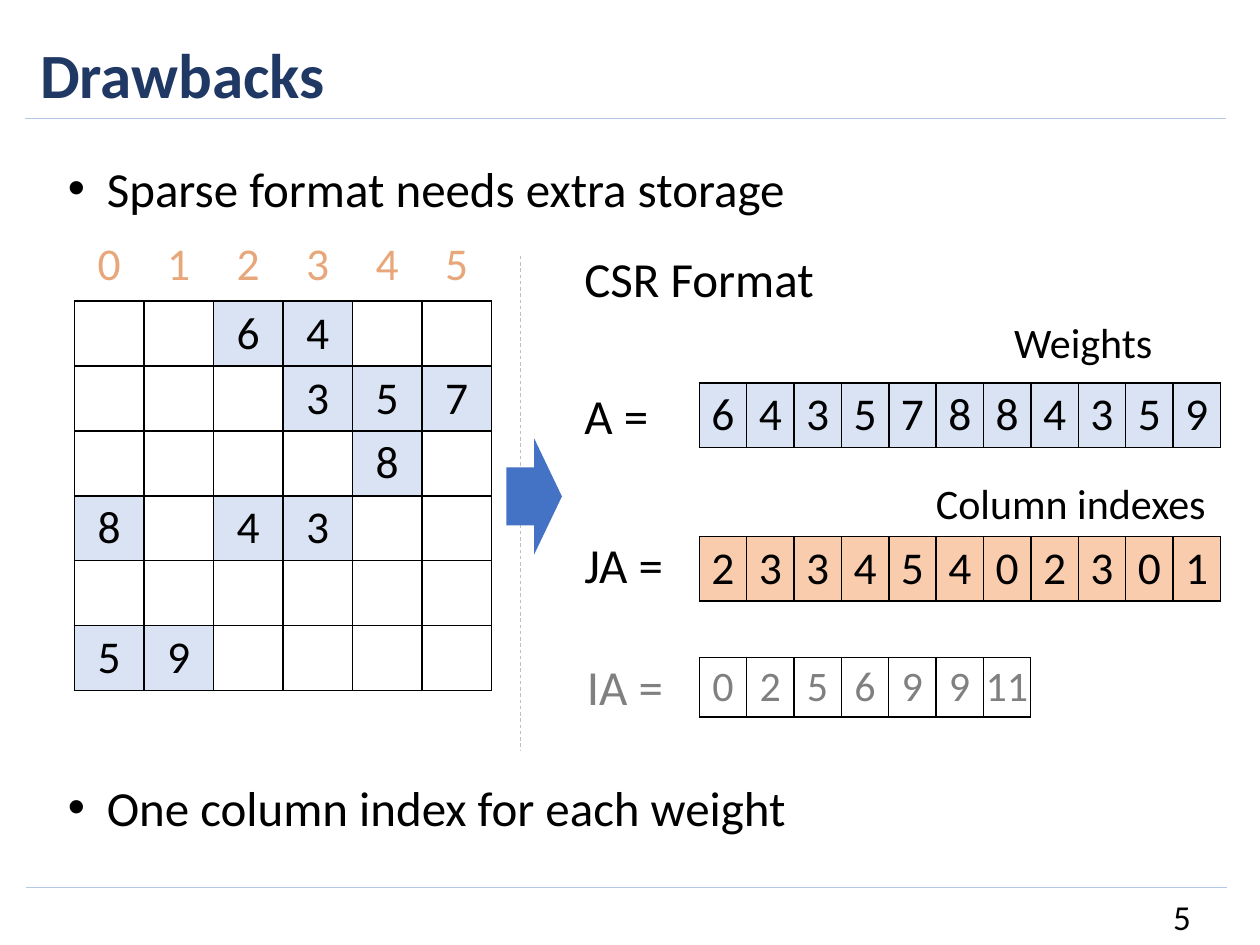
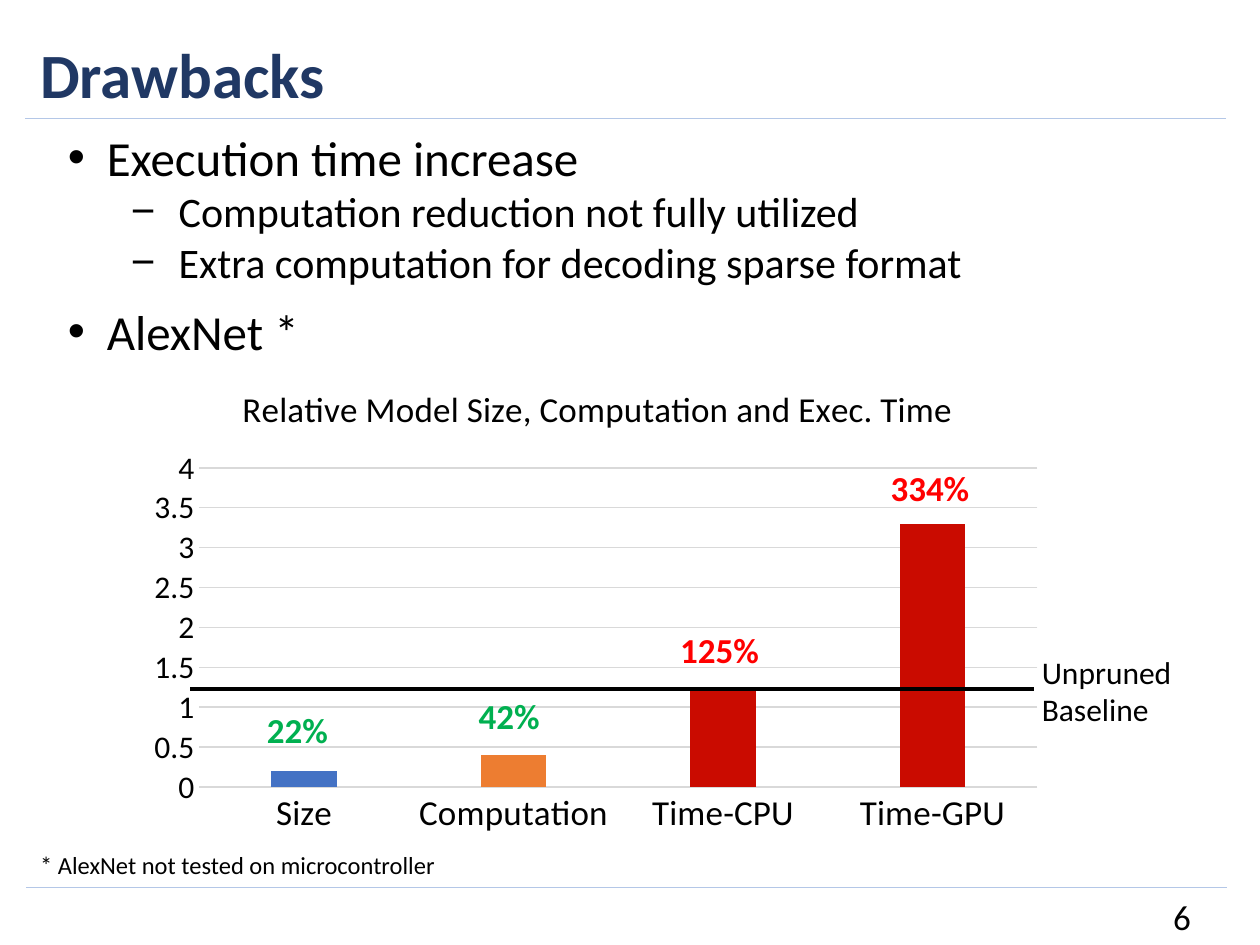
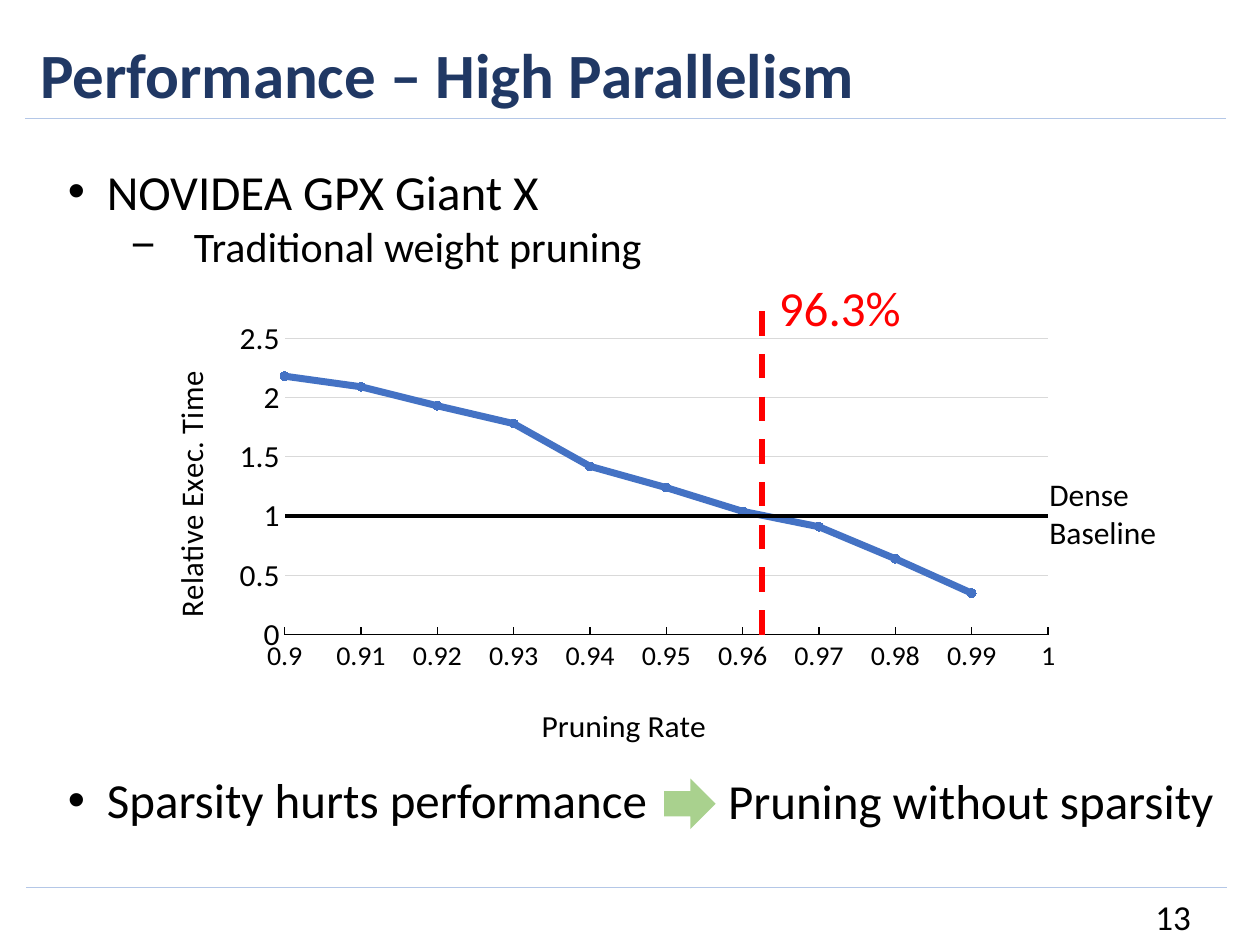
from dataclasses import dataclass
from typing import Optional

from lxml import etree
from pptx import Presentation
from pptx.chart.data import CategoryChartData, XyChartData
from pptx.dml.color import RGBColor
from pptx.enum.chart import XL_CHART_TYPE, XL_MARKER_STYLE, XL_TICK_MARK
from pptx.enum.dml import MSO_LINE
from pptx.enum.shapes import MSO_CONNECTOR, MSO_SHAPE
from pptx.enum.text import MSO_ANCHOR, MSO_AUTO_SIZE, PP_ALIGN
from pptx.oxml.ns import qn
from pptx.util import Inches, Pt

COLUMNS, SCATTER = XL_CHART_TYPE.COLUMN_CLUSTERED, XL_CHART_TYPE.XY_SCATTER_LINES_NO_MARKERS
CIRCLE, NO_MARKER = XL_MARKER_STYLE.CIRCLE, XL_MARKER_STYLE.NONE
TICK_NONE, TICK_INSIDE = XL_TICK_MARK.NONE, XL_TICK_MARK.INSIDE
DASH = MSO_LINE.DASH
STRAIGHT, RIGHT_ARROW = MSO_CONNECTOR.STRAIGHT, MSO_SHAPE.RIGHT_ARROW
MIDDLE = MSO_ANCHOR.MIDDLE
FIT_TEXT, FIXED_SIZE = MSO_AUTO_SIZE.SHAPE_TO_FIT_TEXT, MSO_AUTO_SIZE.NONE
LEFT, CENTER, RIGHT = PP_ALIGN.LEFT, PP_ALIGN.CENTER, PP_ALIGN.RIGHT

FONT = "Calibri"
BLACK = RGBColor(0x00, 0x00, 0x00)
WHITE = RGBColor(0xFF, 0xFF, 0xFF)
NAVY = RGBColor(0x20, 0x38, 0x64)
RULE_BLUE = RGBColor(0xB4, 0xC7, 0xE7)
BLUE = RGBColor(0x44, 0x72, 0xC4)
WEIGHT_BLUE = RGBColor(0xDA, 0xE3, 0xF3)
INDEX_ORANGE = RGBColor(0xF8, 0xCC, 0xAD)
HEADER_ORANGE = RGBColor(0xE7, 0xA7, 0x7A)
ORANGE = RGBColor(0xED, 0x7D, 0x31)
DARK_RED = RGBColor(0xCA, 0x0B, 0x00)
RED = RGBColor(0xFF, 0x00, 0x00)
GREEN = RGBColor(0x00, 0xB0, 0x50)
LIGHT_GREEN = RGBColor(0xA9, 0xD1, 0x8E)
GRAY = RGBColor(0x80, 0x80, 0x80)
DIVIDER_GRAY = RGBColor(0xBF, 0xBF, 0xBF)
GRID_GRAY = RGBColor(0xD9, 0xD9, 0xD9)


@dataclass
class Label:
    text: str
    left: float
    top: float
    width: float
    height: float = 0.57
    size: float = 28
    color: RGBColor = BLACK
    bold: bool = False
    align: PP_ALIGN = LEFT


@dataclass
class Bullets:
    left: float
    top: float
    width: float
    height: float
    main: str
    details: tuple[str, ...] = ()
    detail_indent: float = 0.88
    detail_hanging: float = 0.38


@dataclass
class Rule:
    start: tuple[float, float]
    end: tuple[float, float]
    color: RGBColor
    width: float = 0.5
    dashed: bool = False


@dataclass
class Grid:
    left: float
    top: float
    width: float
    row_height: float
    rows: list[list[str]]
    fill: Optional[RGBColor]
    size: float = 26
    color: RGBColor = BLACK
    bordered: bool = True


def style_font(font, size: float, color: RGBColor = BLACK, bold: bool = False) -> None:
    font.name, font.size, font.bold = FONT, Pt(size), bold
    font.color.rgb = color


def style_paragraph(paragraph, size: float, color: RGBColor = BLACK, bold: bool = False) -> None:
    for run in paragraph.runs:
        style_font(run.font, size, color, bold)


def add_box(slide, left: float, top: float, width: float, height: float):
    box = slide.shapes.add_textbox(Inches(left), Inches(top), Inches(width), Inches(height))
    box.text_frame.word_wrap = False
    box.text_frame.auto_size = FIT_TEXT
    return box.text_frame


def add_label(slide, label: Label):
    text_frame = add_box(slide, label.left, label.top, label.width, label.height)
    text_frame.text = label.text
    for paragraph in text_frame.paragraphs:
        paragraph.alignment = label.align
        style_paragraph(paragraph, label.size, label.color, label.bold)
    return text_frame


def set_bullet(paragraph, character: str, indent: float, hanging: float) -> None:
    properties = paragraph._p.get_or_add_pPr()
    properties.set("marL", str(Inches(indent)))
    properties.set("indent", str(-Inches(hanging)))
    etree.SubElement(properties, qn("a:buFont")).set("typeface", "Arial")
    etree.SubElement(properties, qn("a:buChar")).set("char", character)


def add_bullets(slide, bullets: Bullets) -> None:
    text_frame = add_box(slide, bullets.left, bullets.top, bullets.width, bullets.height)
    text_frame.text = "\n".join((bullets.main, *bullets.details))
    main, *details = text_frame.paragraphs
    set_bullet(main, "•", 0.31, 0.31)
    style_paragraph(main, 28)
    for paragraph in details:
        paragraph.level = 1
        set_bullet(paragraph, "−", bullets.detail_indent, bullets.detail_hanging)
        style_paragraph(paragraph, 24)


def add_rule(slide, rule: Rule) -> None:
    points = [Inches(value) for value in (*rule.start, *rule.end)]
    connector = slide.shapes.add_connector(STRAIGHT, *points)
    connector.line.color.rgb = rule.color
    connector.line.width = Pt(rule.width)
    if rule.dashed:
        connector.line.dash_style = DASH
    etree.SubElement(connector._element.spPr, qn("a:effectLst"))


def add_arrow(slide, left: float, top: float, width: float, height: float, color: RGBColor) -> None:
    arrow = slide.shapes.add_shape(
        RIGHT_ARROW, Inches(left), Inches(top), Inches(width), Inches(height))
    arrow.shadow.inherit = False
    arrow.fill.solid()
    arrow.fill.fore_color.rgb = color
    arrow.line.fill.background()


def add_borders(cell) -> None:
    properties = cell._tc.get_or_add_tcPr()
    for side in ("a:lnL", "a:lnR", "a:lnT", "a:lnB"):
        border = etree.SubElement(properties, qn(side), w=str(Pt(1)))
        solid = etree.SubElement(border, qn("a:solidFill"))
        etree.SubElement(solid, qn("a:srgbClr"), val=str(BLACK))


def add_grid(slide, grid: Grid) -> None:
    row_count, column_count = len(grid.rows), len(grid.rows[0])
    table = slide.shapes.add_table(
        row_count, column_count, Inches(grid.left), Inches(grid.top),
        Inches(grid.width), Inches(grid.row_height * row_count)).table
    table.first_row = table.horz_banding = False
    for column in table.columns:
        column.width = Inches(grid.width / column_count)
    for row, values in zip(table.rows, grid.rows):
        row.height = Inches(grid.row_height)
        for cell, value in zip(row.cells, values):
            if grid.bordered:
                add_borders(cell)
            if grid.fill is None:
                cell.fill.background()
            else:
                cell.fill.solid()
                cell.fill.fore_color.rgb = grid.fill if value.strip() else WHITE
            cell.margin_left = cell.margin_right = cell.margin_top = cell.margin_bottom = 0
            cell.vertical_anchor = MIDDLE
            cell.text = value.strip()
            paragraph = cell.text_frame.paragraphs[0]
            paragraph.alignment = CENTER
            style_paragraph(paragraph, grid.size, grid.color)


def set_layout(parent, index: int, **fractions: float) -> None:
    """Place a chart part by fractions of the chart's size."""
    for old_layout in parent.findall(qn("c:layout")):
        parent.remove(old_layout)
    layout = etree.Element(qn("c:layout"))
    parent.insert(index, layout)
    manual = etree.SubElement(layout, qn("c:manualLayout"))
    if "w" in fractions:
        etree.SubElement(manual, qn("c:layoutTarget"), val="inner")
    for mode in ("xMode", "yMode"):
        etree.SubElement(manual, qn(f"c:{mode}"), val="edge")
    for name, value in fractions.items():
        etree.SubElement(manual, qn(f"c:{name}"), val=str(value))


def set_chart_title(title, text: str, size: float, x: float, y: float, rotated: bool = False) -> None:
    title.text_frame.text = text
    style_paragraph(title.text_frame.paragraphs[0], size)
    if rotated:
        body = title._element.find(".//" + qn("a:bodyPr"))
        body.set("rot", "-5400000")
        body.set("vert", "horz")
    set_layout(title._element, 1, x=x, y=y)


def add_chart(slide, kind: XL_CHART_TYPE, data, left: float, top: float, width: float,
              height: float, value_maximum: float, plot_area: dict[str, float],
              category_size: float, category_line: RGBColor):
    chart = slide.shapes.add_chart(
        kind, Inches(left), Inches(top), Inches(width), Inches(height), data).chart
    style_font(chart.font, 18)
    chart.has_legend = chart.has_title = False
    chart.plots[0].vary_by_categories = False
    set_layout(chart._chartSpace.find(".//" + qn("c:plotArea")), 0, **plot_area)

    value_axis, category_axis = chart.value_axis, chart.category_axis
    value_axis.minimum_scale, value_axis.maximum_scale = 0, value_maximum
    value_axis.major_unit = 0.5
    value_axis.has_major_gridlines = True
    value_axis.major_gridlines.format.line.color.rgb = GRID_GRAY
    value_axis.major_gridlines.format.line.width = Pt(0.75)
    value_axis.format.line.fill.background()
    category_axis.has_major_gridlines = False
    category_axis.format.line.color.rgb = category_line
    category_axis.format.line.width = Pt(0.75)
    for axis, size in ((value_axis, 18), (category_axis, category_size)):
        axis.major_tick_mark = axis.minor_tick_mark = TICK_NONE
        axis.tick_labels.number_format = "General"
        axis.tick_labels.number_format_is_linked = False
        style_font(axis.tick_labels.font, size)
    return chart


def add_base_slide(presentation, title: str, title_width: float, number: int):
    slide = presentation.slides.add_slide(presentation.slide_layouts[6])
    add_rule(slide, Rule((0.21, 7.04), (9.74, 7.04), RULE_BLUE))
    add_rule(slide, Rule((0.2, 0.94), (9.73, 0.94), RULE_BLUE))
    add_label(slide, Label(title, 0.22, 0.23, title_width, 0.71, 36, NAVY, True))
    number_frame = add_label(slide, Label(str(number), 7.3, 7.07, 2.25, 0.4, 20, align=RIGHT))
    number_frame.word_wrap = True
    number_frame.auto_size = FIXED_SIZE
    number_frame.vertical_anchor = MIDDLE
    return slide


def build_storage_slide(presentation) -> None:
    slide = add_base_slide(presentation, "Drawbacks", 2.48, 5)
    add_rule(slide, Rule((4.13, 2.03), (4.13, 5.95), DIVIDER_GRAY, dashed=True))
    add_bullets(slide, Bullets(0.44, 1.21, 6.04, 0.57, "Sparse format needs extra storage"))
    add_bullets(slide, Bullets(0.44, 6.12, 5.97, 0.57, "One column index for each weight"))
    add_arrow(slide, 4.02, 3.48, 0.44, 0.92, BLUE)

    # Sparse matrix with its column numbers, then the three CSR arrays
    matrix = ["  64  ", "   357", "    8 ", "8 43  ", "      ", "59    "]
    grids = [
        Grid(0.59, 1.85, 3.31, 0.51, [list("012345")], WHITE, color=HEADER_ORANGE, bordered=False),
        Grid(0.59, 2.39, 3.31, 0.515, [list(row) for row in matrix], WEIGHT_BLUE),
        Grid(5.55, 3.04, 4.14, 0.51, [list("64357884359")], WEIGHT_BLUE),
        Grid(5.55, 4.26, 4.14, 0.51, [list("23345402301")], INDEX_ORANGE),
        Grid(5.55, 5.22, 2.63, 0.47, [["0", "2", "5", "6", "9", "9", "11"]], None, 24, GRAY),
    ]
    for grid in grids:
        add_grid(slide, grid)

    labels = [
        Label("CSR Format", 4.54, 1.92, 2.04),
        Label("A =", 4.54, 3.01, 0.72),
        Label("JA =", 4.54, 4.19, 0.83),
        Label("IA =", 4.56, 5.16, 0.81, color=GRAY),
        Label("Weights", 7.95, 2.46, 1.31, 0.5, 24),
        Label("Column indexes", 7.33, 3.74, 2.36, 0.5, 24),
    ]
    for label in labels:
        add_label(slide, label)


def build_execution_slide(presentation) -> None:
    slide = add_base_slide(presentation, "Drawbacks", 2.48, 6)

    # Column chart with one colour per measure
    data = CategoryChartData()
    data.categories = ["Size", "Computation", "Time-CPU", "Time-GPU"]
    data.add_series("Series 1", [0.2, 0.4, 1.2, 3.3])
    chart = add_chart(slide, COLUMNS, data, 1.07, 2.92, 7.31, 3.78, 4,
                      {"x": 0.07, "y": 0.21, "w": 0.91, "h": 0.67}, 20, GRID_GRAY)
    chart.has_title = True
    set_chart_title(chart.chart_title, "Relative Model Size, Computation and Exec. Time",
                    20, 0.11, 0.02)
    plot = chart.plots[0]
    plot.gap_width, plot.overlap = 219, -27
    for index, color in enumerate((BLUE, ORANGE, DARK_RED, DARK_RED)):
        fill = plot.series[0].points[index].format.fill
        fill.solid()
        fill.fore_color.rgb = color

    add_bullets(slide, Bullets(0.44, 0.96, 7.36, 1.38, "Execution time increase", (
        "Computation reduction not fully utilized",
        "Extra computation for decoding sparse format")))
    add_bullets(slide, Bullets(0.44, 2.34, 2.06, 0.57, "AlexNet *"))
    add_rule(slide, Rule((1.51, 5.47), (8.21, 5.47), BLACK, 2))

    labels = [
        Label("* AlexNet not tested on microcontroller", 0.22, 6.7, 3.37, 0.34, 14),
        Label("Unpruned\nBaseline", 8.17, 5.13, 1.24, 0.71, 18),
        Label("22%", 2.02, 5.57, 0.69, 0.44, 20, GREEN, True),
        Label("42%", 3.7, 5.46, 0.69, 0.44, 20, GREEN, True),
        Label("125%", 5.3, 4.94, 0.83, 0.44, 20, RED, True),
        Label("334%", 6.97, 3.65, 0.83, 0.44, 20, RED, True),
    ]
    for label in labels:
        add_label(slide, label)


def build_parallelism_slide(presentation) -> None:
    slide = add_base_slide(presentation, "Performance – High Parallelism", 6.73, 13)
    add_bullets(slide, Bullets(0.44, 1.23, 4.8, 0.98, "NOVIDEA GPX Giant X",
                               ("Traditional weight pruning",), 1, 0.5))

    # Execution time falls with the pruning rate, against a flat baseline
    rates = [round(1 - step / 100, 2) for step in range(11)]
    times = [0.35, 0.64, 0.91, 1.04, 1.24, 1.42, 1.78, 1.93, 2.09, 2.18]
    data = XyChartData()
    for name, points in (("Series 1", [(rate, 1) for rate in rates]),
                         ("Series 2", zip(rates[1:], times))):
        series = data.add_series(name)
        for rate, time in points:
            series.add_data_point(rate, time)
    chart = add_chart(slide, SCATTER, data, 1.15, 2.48, 7.39, 3.51, 2.5,
                      {"x": 0.15, "y": 0.06, "w": 0.82, "h": 0.69}, 16, BLACK)
    rate_axis = chart.category_axis
    rate_axis.minimum_scale, rate_axis.maximum_scale, rate_axis.major_unit = 0.9, 1, 0.01
    rate_axis.major_tick_mark = TICK_INSIDE
    set_chart_title(rate_axis.axis_title, "Pruning Rate", 18, 0.42, 0.9)
    set_chart_title(chart.value_axis.axis_title, "Relative Exec. Time", 18, 0.02, 0.14, True)
    baseline, measured = chart.plots[0].series
    for series, color, width in ((baseline, BLACK, 2.25), (measured, BLUE, 4)):
        series.smooth = False
        series.format.line.color.rgb = color
        series.format.line.width = Pt(width)
    baseline.marker.style = NO_MARKER
    measured.marker.style, measured.marker.size = CIRCLE, 5
    measured.marker.format.fill.solid()
    measured.marker.format.fill.fore_color.rgb = BLUE
    measured.marker.format.line.color.rgb = BLUE

    # Break-even mark and conclusion
    add_rule(slide, Rule((6.05, 2.47), (6.05, 5.09), RED, 3.5, True))
    add_label(slide, Label("96.3%", 5.84, 2.15, 1.65, color=RED, align=CENTER))
    add_label(slide, Label("Dense\nBaseline", 8.23, 3.72, 1.06, 0.71, 18))
    add_bullets(slide, Bullets(0.44, 6.06, 4.85, 0.57, "Sparsity hurts performance"))
    add_arrow(slide, 5.27, 6.18, 0.41, 0.4, LIGHT_GREEN)
    add_label(slide, Label("Pruning without sparsity", 5.68, 6.07, 4.24))


def main() -> None:
    presentation = Presentation()
    presentation.slide_width, presentation.slide_height = Inches(10), Inches(7.5)
    build_storage_slide(presentation)
    build_execution_slide(presentation)
    build_parallelism_slide(presentation)
    presentation.save("out.pptx")


if __name__ == "__main__":
    main()
